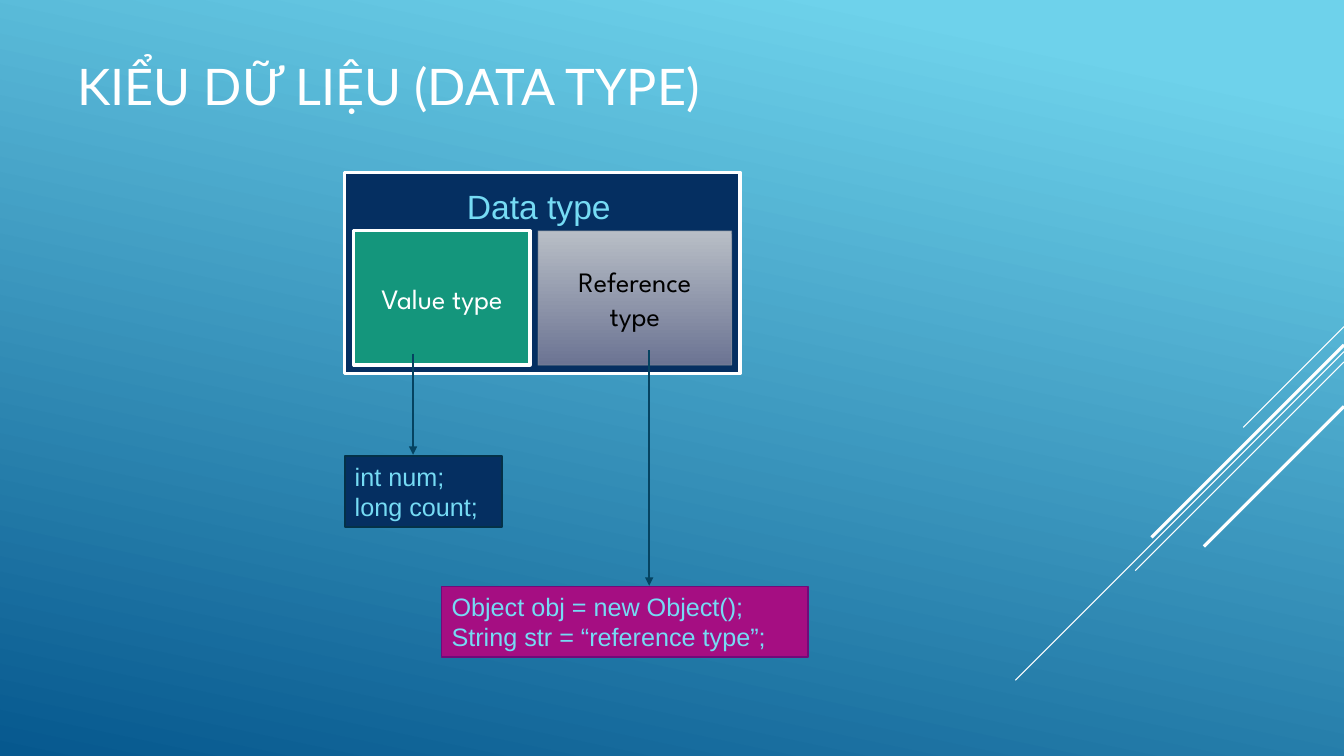
from lxml import etree
from pptx import Presentation
from pptx.dml.color import RGBColor
from pptx.enum.shapes import MSO_CONNECTOR, MSO_SHAPE
from pptx.enum.text import MSO_ANCHOR, PP_ALIGN
from pptx.oxml.ns import qn
from pptx.util import Cm, Pt

RECTANGLE = MSO_SHAPE.RECTANGLE
STRAIGHT = MSO_CONNECTOR.STRAIGHT
TOP, MIDDLE = MSO_ANCHOR.TOP, MSO_ANCHOR.MIDDLE
LEFT, CENTER = PP_ALIGN.LEFT, PP_ALIGN.CENTER

COLORS = {
    "sky": "6ED2EB", "ocean": "06588E", "white": "FFFFFF", "black": "000000",
    "navy": "052F61", "navy_edge": "043148", "green": "14967C",
    "silver": "B8BEC6", "slate": "6C7493", "slate_edge": "89919C",
    "magenta": "A50E82", "purple_edge": "710A7A",
    "cyan": "76DBF4", "arrow": "054361",
}
WIDTH, HEIGHT = 33.87, 19.05

# Start height at the right edge, run to the lower left (cm), line width (pt)
DIAGONALS = [
    (8.23, 2.54, 0.75), (8.86, 8.28, 0.75), (9.12, 5.26, 0.75),
    (8.69, 4.85, 2.25), (10.24, 3.53, 2.25),
]


def color(name):
    return RGBColor.from_string(COLORS[name])


def fill_gradient(fill, start, end, clockwise, first=0):
    fill.gradient()
    fill.gradient_angle = 360 - clockwise
    for stop, name, position in zip(fill.gradient_stops, (start, end), (first, 1)):
        stop.color.rgb = color(name)
        stop.position = position


def write_text(shape, text, font="Arial", size=18, ink="cyan",
               align=LEFT, anchor=TOP, wrap=False):
    frame = shape.text_frame
    frame.word_wrap = wrap
    frame.vertical_anchor = anchor
    for index, row in enumerate(text.split("\n")):
        para = frame.add_paragraph() if index else frame.paragraphs[0]
        para.alignment = align
        span = para.add_run()
        span.text = row
        span.font.name = font
        span.font.size = Pt(size)
        span.font.color.rgb = color(ink)


def add_text(page, place, text, **style):
    box = page.shapes.add_textbox(*map(Cm, place))
    write_text(box, text, wrap=True, **style)


def add_box(page, place, fill, edge, edge_width, text="", **style):
    """Draw a rectangle; a pair of fill names makes a vertical gradient."""
    box = page.shapes.add_shape(RECTANGLE, *map(Cm, place))
    box.shadow.inherit = False
    if isinstance(fill, tuple):
        fill_gradient(box.fill, *fill, clockwise=90)
    else:
        box.fill.solid()
        box.fill.fore_color.rgb = color(fill)
    box.line.color.rgb = color(edge)
    box.line.width = Pt(edge_width)
    if text:
        write_text(box, text, **style)
    return box


def set_edge_opacity(box, percent):
    tint = box.line.fill.fore_color
    tint.rgb = color("slate_edge")
    edge = box.line._get_or_add_ln().find(".//" + qn("a:srgbClr"))
    etree.SubElement(edge, qn("a:alpha"), val=str(percent * 1000))


def add_line(page, start, end, ink, width, arrow=False):
    line = page.shapes.add_connector(STRAIGHT, *map(Cm, (*start, *end)))
    line.line.color.rgb = color(ink)
    line.line.width = Pt(width)
    if arrow:
        etree.SubElement(line.line._get_or_add_ln(), qn("a:tailEnd"), type="triangle")
    etree.SubElement(line._element.spPr, qn("a:effectLst"))


def main():
    deck = Presentation()
    deck.slide_width, deck.slide_height = Cm(WIDTH), Cm(HEIGHT)
    page = deck.slides.add_slide(deck.slide_layouts[6])
    fill_gradient(page.background.fill, "sky", "ocean", clockwise=102, first=0.1)

    for top, run, width in DIAGONALS:
        add_line(page, (WIDTH, top), (WIDTH - run, top + run), "white", width)

    add_text(page, (1.7, 0.74, 28.32, 2.82), "KIỂU DỮ LIỆU (DATA TYPE)",
             font="Lato", size=36, ink="white", anchor=MIDDLE)

    label = {"font": "League Spartan", "size": 20, "align": CENTER, "anchor": MIDDLE}
    add_box(page, (8.69, 4.34, 9.96, 5.08), "navy", "white", 2.25)
    add_box(page, (8.92, 5.82, 4.44, 3.38), "green", "white", 2.25,
            "Value type", ink="white", **label)
    reference = add_box(page, (13.56, 5.82, 4.88, 3.38), ("silver", "slate"),
                        "slate_edge", 0.75, "Reference\ntype", ink="black", **label)
    set_edge_opacity(reference, 60)
    add_text(page, (8.92, 4.55, 9.32, 1.27), "Data type", size=24, align=CENTER)

    add_box(page, (8.69, 11.5, 3.96, 1.78), "navy", "navy_edge", 1.25,
            "int num;\nlong count;")
    add_box(page, (11.13, 14.78, 9.24, 1.78), "magenta", "purple_edge", 1.25,
            "Object obj = new Object();\nString str = “reference type”;")

    for x, top, bottom in ((10.41, 8.91, 11.46), (16.36, 8.83, 14.76)):
        add_line(page, (x, top), (x, bottom), "arrow", 1.25, arrow=True)

    deck.save("out.pptx")


if __name__ == "__main__":
    main()
